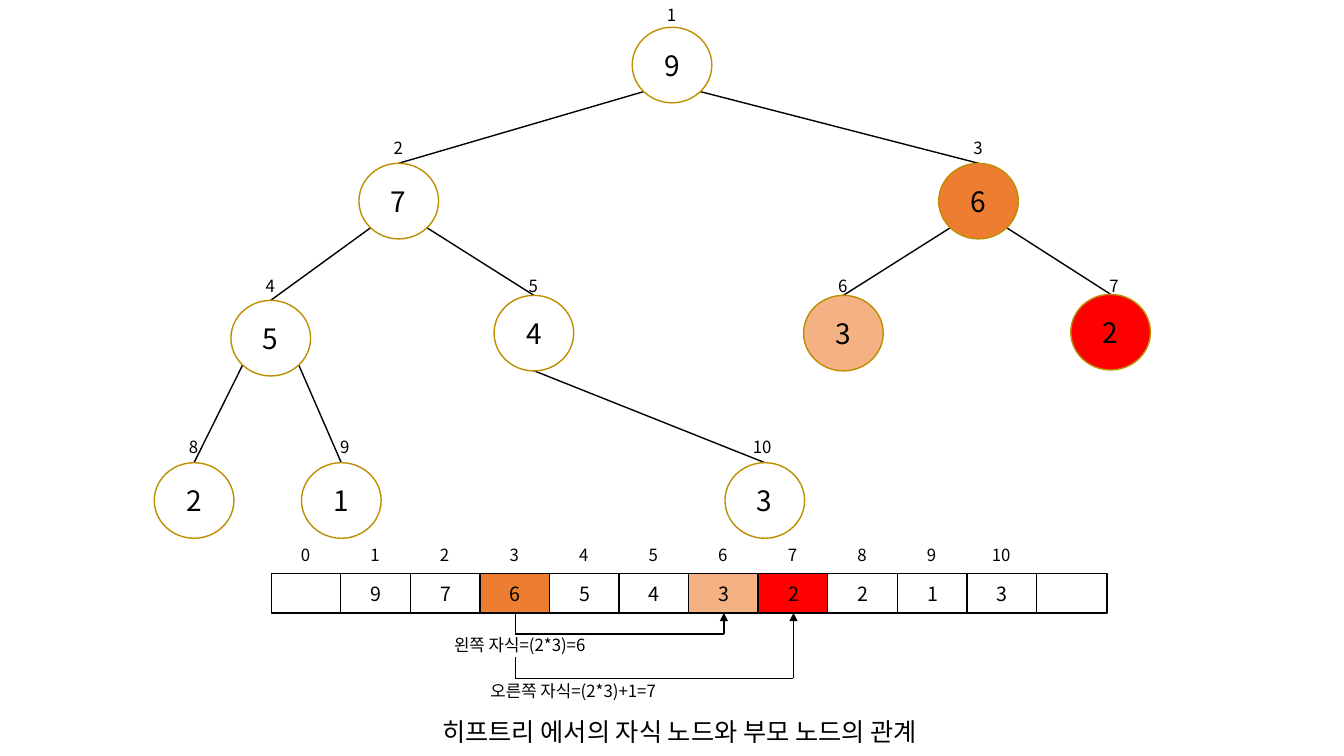
from itertools import pairwise

from lxml.etree import SubElement
from pptx import Presentation
from pptx.dml.color import RGBColor
from pptx.enum.shapes import MSO_CONNECTOR, MSO_SHAPE
from pptx.enum.text import MSO_ANCHOR, MSO_AUTO_SIZE, PP_ALIGN
from pptx.oxml.ns import qn
from pptx.util import Inches, Pt

FONT = "Noto Sans CJK KR"
COLORS = {"white": "FFFFFF", "black": "000000", "gold": "BD8E00",
          "parent": "ED7D31", "left": "F4B183", "right": "FF0000"}

HEAP = [9, 7, 6, 5, 4, 3, 2, 2, 1, 3]  # the root has index 1
HIGHLIGHTS = {3: "parent", 6: "left", 7: "right"}
NODE_POSITIONS = [(6.27, 0.27), (3.56, 1.62), (9.31, 1.62), (2.29, 2.98),
                  (4.9, 2.93), (7.97, 2.93), (10.62, 2.92), (1.53, 4.59),
                  (2.99, 4.59), (7.19, 4.59)]
NODE_W, NODE_H = 0.79, 0.75
LEVEL_LABEL_TOPS = [0, 1.32, 2.69, 4.28]
LABEL_SHIFTS = {7: 0.22, 9: 0.22, 10: 0.16}
LABEL_W, LABEL_H = 0.42, 0.3
CELL_COUNT, CELL_PITCH, CELL_W, CELL_H = 12, 0.69, 0.7, 0.39


def rgb(name):
    return RGBColor.from_string(COLORS[name])


def write(tf, text, size):
    p = tf.paragraphs[0]
    p.alignment = PP_ALIGN.CENTER
    r = p.add_run()
    r.text = text
    r.font.size = Pt(size)
    r.font.name = FONT
    r.font.color.rgb = rgb("black")
    SubElement(r.font._element, qn("a:ea"), typeface=FONT)


def add_label(s, text, x, y, w=LABEL_W, h=LABEL_H, size=12):
    tf = s.shapes.add_textbox(*map(Inches, (x, y, w, h))).text_frame
    tf.word_wrap = True
    tf.auto_size = MSO_AUTO_SIZE.SHAPE_TO_FIT_TEXT
    write(tf, text, size)


def add_box(s, kind, box, fill, line, text, size):
    sp = s.shapes.add_shape(kind, *map(Inches, box))
    sp.shadow.inherit = False
    sp.fill.solid()
    sp.fill.fore_color.rgb = rgb(fill)
    sp.line.color.rgb = rgb(line)
    sp.line.width = Pt(1)
    if text:
        sp.text_frame.vertical_anchor = MSO_ANCHOR.MIDDLE
        write(sp.text_frame, text, size)


def add_line(s, start, end, arrow=False):
    c = s.shapes.add_connector(MSO_CONNECTOR.STRAIGHT,
                               *map(Inches, (*start, *end)))
    c.line.color.rgb = rgb("black")
    c.line.width = Pt(1)
    if arrow:
        SubElement(c.line._get_or_add_ln(), qn("a:tailEnd"), type="triangle")
    SubElement(c._element.spPr, qn("a:effectLst"))


def add_edge(s, child):
    """Join the top of a child to the lower left or right of its parent."""
    x, y = NODE_POSITIONS[child - 1]
    px, py = NODE_POSITIONS[child // 2 - 1]
    side = 0.85 if child % 2 else 0.15
    add_line(s, (x + NODE_W / 2, y),
             (px + side * NODE_W, py + 0.85 * NODE_H))


def add_tree(s):
    for child in range(2, len(HEAP) + 1):
        add_edge(s, child)
    for i, (value, (x, y)) in enumerate(zip(HEAP, NODE_POSITIONS), 1):
        add_box(s, MSO_SHAPE.FLOWCHART_CONNECTOR, (x, y, NODE_W, NODE_H),
                HIGHLIGHTS.get(i, "white"), "gold", str(value), 20)
        add_label(s, str(i), x + LABEL_SHIFTS.get(i, 0.18),
                  LEVEL_LABEL_TOPS[i.bit_length() - 1])


def add_array(s, left, top):
    values = ["", *map(str, HEAP), ""]
    for i in range(CELL_COUNT):
        x = left + i * CELL_PITCH
        add_box(s, MSO_SHAPE.RECTANGLE, (x, top, CELL_W, CELL_H),
                HIGHLIGHTS.get(i, "white"), "black", values[i], 14)
        if i <= len(HEAP):
            add_label(s, str(i), x + 0.13, top - 0.33)


def add_child_arrow(s, start, end, depth):
    """Go down from start, across, and up to an arrowhead at end."""
    points = [start, (start[0], depth), (end[0], depth), end]
    for a, b in pairwise(points):
        add_line(s, a, b, arrow=b == end)


def add_child_formulas(s, left, top):
    """Draw both parent-to-child arrows below the array."""
    add_child_arrow(s, (left, top), (left + 2.07, top), top + 0.21)
    add_label(s, "왼쪽 자식=(2*3)=6", left - 1.26, top + 0.17, 2.61)
    add_child_arrow(s, (left, top + 0.44), (left + 2.76, top), top + 0.65)
    add_label(s, "오른쪽 자식=(2*3)+1=7", left - 0.73, top + 0.62, 2.61)


def main():
    prs = Presentation()
    prs.slide_width, prs.slide_height = Inches(13.33), Inches(7.5)
    s = prs.slides.add_slide(prs.slide_layouts[6])
    add_tree(s)
    add_array(s, 2.69, 5.69)
    add_child_formulas(s, 5.11, 6.08)
    add_label(s, "히프트리 에서의 자식 노드와 부모 노드의 관계",
              3.77, 7.06, 5.94, 0.4, 18)
    prs.save("out.pptx")


if __name__ == "__main__":
    main()
